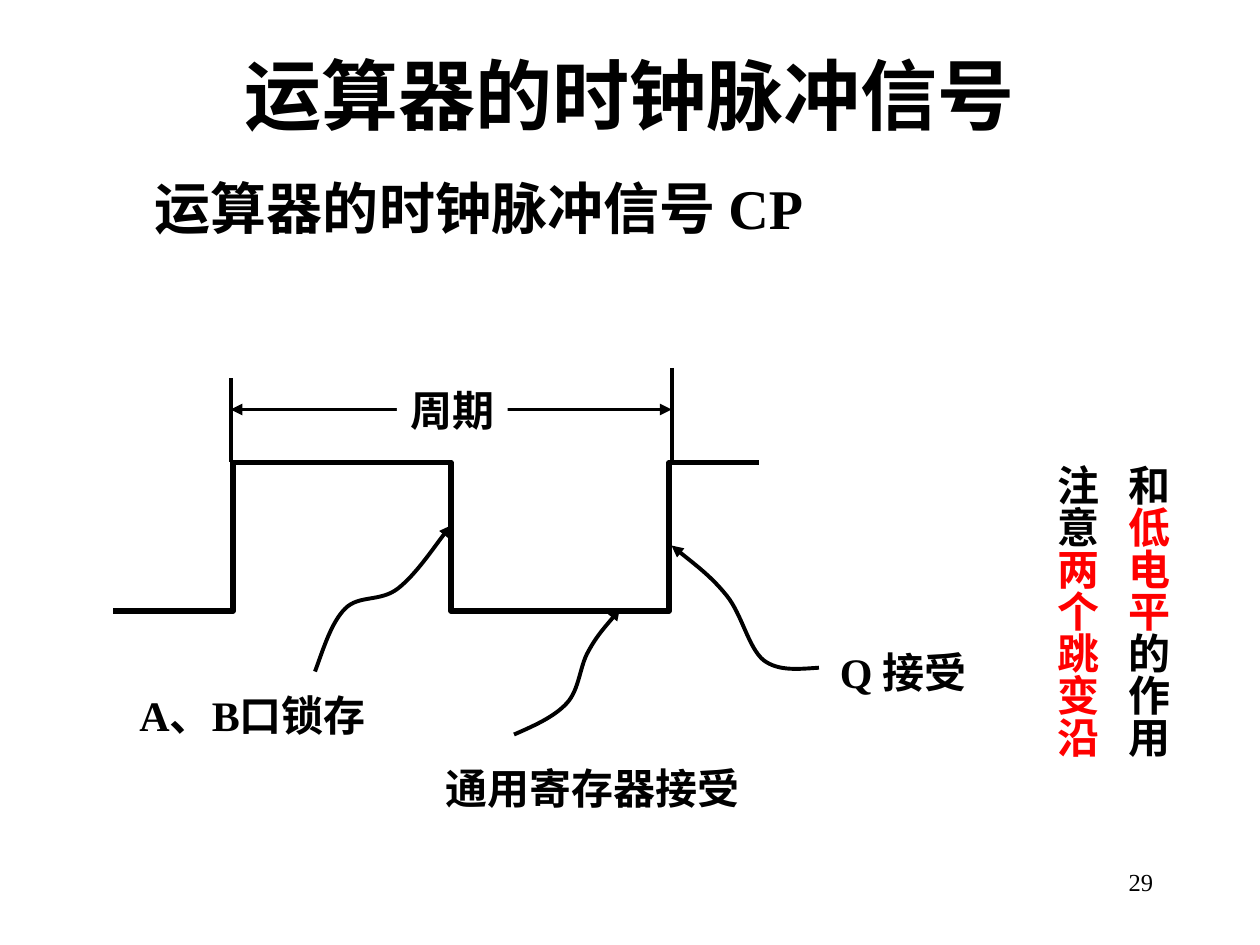
"""Build the slide on the clock pulse signal of the arithmetic unit."""
from dataclasses import dataclass
from itertools import pairwise

from lxml.etree import SubElement as Sub
from pptx import Presentation
from pptx.dml.color import RGBColor as Rgb
from pptx.enum.shapes import MSO_CONNECTOR as Conn, MSO_SHAPE as Kind
from pptx.enum.text import MSO_ANCHOR as Anchor, MSO_AUTO_SIZE as Auto, PP_ALIGN as Align
from pptx.oxml.ns import qn
from pptx.util import Inches, Pt

INK = {"black": "000000", "red": "FF0000", "white": "FFFFFF"}
FACE = "Times New Roman"
Point = tuple[float, float]
Run = tuple[str, str]


@dataclass
class Label:
    text: str
    box: tuple[float, float, float, float]
    fill: bool = False


@dataclass
class Trace:
    points: list[Point]
    width: float = 2.25
    ends: tuple[str, ...] = ()
    curved: bool = False


def tint(name: str) -> Rgb:
    """Give the colour of a name."""
    return Rgb.from_string(INK[name])


def style(para, size: float, bold: bool = True, align=Align.CENTER) -> None:
    """Format a paragraph."""
    para.alignment = align
    para.space_before = Pt(0)
    font = para.font
    font.name, font.size, font.bold = FACE, Pt(size), bold
    font.color.rgb = tint("black")


def place(shape, box: tuple) -> None:
    """Move and size a shape."""
    shape.left, shape.top, shape.width, shape.height = map(Inches, box)


def ink(shape, width: float, ends: tuple[str, ...]) -> None:
    """Draw a black outline with arrowheads and no shadow."""
    shape.line.color.rgb = tint("black")
    shape.line.width = Pt(width)
    for end in ends:
        Sub(shape.line._get_or_add_ln(), qn(f"a:{end}End"), type="triangle")
    Sub(shape._element.spPr, qn("a:effectLst"))


def rule(shapes, start: Point, stop: Point, ends: tuple[str, ...] = ()) -> None:
    """Draw a straight line."""
    line = shapes.add_connector(Conn.STRAIGHT, *map(Inches, start + stop))
    ink(line, 2.25, ends)


def bend(shape) -> None:
    """Turn each three line steps of a path into one curve."""
    steps = shape._element.findall(".//" + qn("a:lnTo"))
    for first in range(0, len(steps), 3):
        head, *rest = steps[first:first + 3]
        head.tag = qn("a:cubicBezTo")
        for step in rest:
            head.append(step[0])
            step.getparent().remove(step)


def trace(shapes, item: Trace) -> None:
    """Draw an open path."""
    first, *rest = [tuple(map(Inches, spot)) for spot in item.points]
    maker = shapes.build_freeform(*first)
    maker.add_line_segments(rest, close=False)
    shape = maker.convert_to_shape()
    if item.curved:
        bend(shape)
    shape.fill.background()
    ink(shape, item.width, item.ends)


def label(shapes, item: Label) -> None:
    """Draw a centred caption."""
    if item.fill:
        shape = shapes.add_shape(Kind.RECTANGLE, *map(Inches, item.box))
        shape.fill.solid()
        shape.fill.fore_color.rgb = tint("white")
        shape.line.fill.background()
        shape.shadow.inherit = False
    else:
        shape = shapes.add_textbox(*map(Inches, item.box))
    frame = shape.text_frame
    frame.text = item.text
    frame.word_wrap = False
    frame.auto_size = Auto.SHAPE_TO_FIT_TEXT
    frame.vertical_anchor = Anchor.MIDDLE
    style(frame.paragraphs[0], 24)


def note(shapes, box: tuple, lines: list[list[Run]]) -> None:
    """Draw upright text, one column for each line."""
    frame = shapes.add_textbox(*map(Inches, box)).text_frame
    frame.word_wrap = False
    frame.auto_size = Auto.SHAPE_TO_FIT_TEXT
    frame.vertical_anchor = Anchor.MIDDLE
    frame._txBody.bodyPr.set("vert", "eaVert")
    for i, runs in enumerate(lines):
        para = frame.add_paragraph() if i else frame.paragraphs[0]
        style(para, 24)
        para.space_before = Pt(12 * i)
        for text, name in runs:
            run = para.add_run()
            run.text = text
            run.font.color.rgb = tint(name)


def wave(low: float, high: float, edges: list[float]) -> list[Point]:
    """Give the corners of a square wave that starts low."""
    spots = []
    for i, (left, right) in enumerate(pairwise(edges)):
        level = high if i % 2 else low
        spots += [(left, level), (right, level)]
    return spots


LABELS = [
    Label("A、B口锁存", (1, 5.42, 2.01, 0.5)),
    Label("通用寄存器接受", (3.43, 6, 2.55, 0.5)),
    Label("Q 接受", (6.56, 5.08, 1.22, 0.5)),
    Label("周期", (3.15, 3, 0.88, 0.5), True),
]
CURVES = [
    Trace([(5.33, 4.33), (5.49, 4.46), (5.65, 4.58), (5.77, 4.73), (5.89, 4.88),
           (5.94, 5.14), (6.06, 5.24), (6.18, 5.33), (6.34, 5.31), (6.5, 5.3)],
          ends=("head",), curved=True),
    Trace([(4.08, 5.83), (4.24, 5.76), (4.4, 5.69), (4.5, 5.58), (4.6, 5.47),
           (4.6, 5.29), (4.67, 5.17), (4.74, 5.04), (4.88, 4.89), (4.92, 4.83)],
          ends=("tail",), curved=True),
    Trace([(2.5, 5.33), (2.57, 5.14), (2.63, 4.94), (2.74, 4.83), (2.85, 4.72),
           (3.02, 4.78), (3.16, 4.67), (3.3, 4.56), (3.51, 4.25), (3.58, 4.17)],
          ends=("tail",), curved=True),
]
NOTE = [
    [("和", "black"), ("低电平", "red"), ("的作用", "black")],
    [("注意", "black"), ("两个跳变沿", "red")],
]


def main() -> None:
    """Build and save the slide."""
    deck = Presentation()
    deck.slide_width, deck.slide_height = Inches(10), Inches(7.5)
    slide = deck.slides.add_slide(deck.slide_layouts[1])
    shapes = slide.shapes

    title, body = shapes.title, slide.placeholders[1]
    place(title, (0.75, 0.33, 8.5, 0.83))
    title.text_frame.text = "运算器的时钟脉冲信号"
    title.text_frame.vertical_anchor = Anchor.MIDDLE
    style(title.text_frame.paragraphs[0], 44)

    place(body, (0.75, 1.33, 8.5, 5.33))
    body.text_frame.text = "运算器的时钟脉冲信号 CP"
    para = body.text_frame.paragraphs[0]
    props = para._p.get_or_add_pPr()
    props.set("marL", str(Inches(0.38)))
    props.set("indent", "0")
    Sub(props, qn("a:buNone"))
    style(para, 32, align=Align.LEFT)

    for curve in CURVES:
        trace(shapes, curve)
    rule(shapes, (1.83, 3), (1.83, 3.67))
    rule(shapes, (5.33, 2.92), (5.33, 3.67))
    rule(shapes, (1.83, 3.25), (5.33, 3.25), ("head", "tail"))
    for item in LABELS:
        label(shapes, item)
    note(shapes, (8.23, 3.59, 1.2, 2.48), NOTE)
    trace(shapes, Trace(wave(4.85, 3.67, [0.9, 1.85, 3.58, 5.31, 6.02]), 3))

    page = shapes.add_textbox(*map(Inches, (7.17, 6.83, 2.08, 0.5))).text_frame
    page.word_wrap = True
    page.text = "29"
    style(page.paragraphs[0], 14, False, Align.RIGHT)
    deck.save("out.pptx")


if __name__ == "__main__":
    main()
